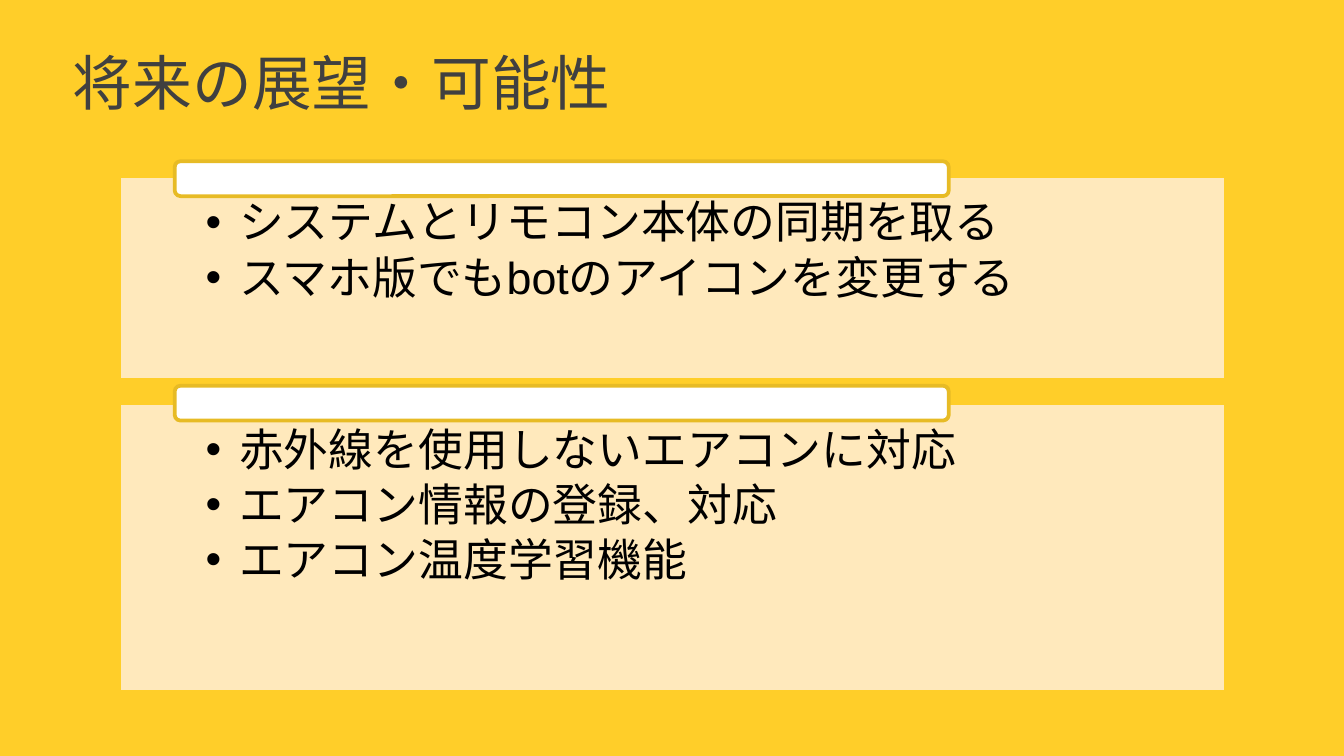
import pptx
import pptx.util
import pptx.dml.color
import pptx.enum.shapes
import pptx.enum.text
import pptx.oxml
import pptx.oxml.ns
import lxml.etree

Inches = pptx.util.Inches
Pt = pptx.util.Pt
SHAPES = pptx.enum.shapes.MSO_SHAPE
ANCHOR = pptx.enum.text.MSO_ANCHOR
ALIGN = pptx.enum.text.PP_ALIGN

COLORS = {
    "background": "FFCE29",
    "panel": "FFEDCD",
    "tab": "FFFFFF",
    "tab_line": "E7BB25",
    "body": "000000",
    "title": "404040",
}


def rgb(name):
    return pptx.dml.color.RGBColor.from_string(COLORS[name])


def add_element(parent, tag, **attributes):
    return lxml.etree.SubElement(parent, pptx.oxml.ns.qn(tag), **attributes)


class OutlookPage:
    body_font = "Arial"
    title_font = "Noto Sans CJK JP"

    def __init__(self, deck):
        self.page = deck.slides.add_slide(deck.slide_layouts[6])
        fill = self.page.background.fill
        fill.solid()
        fill.fore_color.rgb = rgb("background")

    def shape(self, kind, left, top, width, height, fill, line):
        box = self.page.shapes.add_shape(
            kind, Inches(left), Inches(top), Inches(width), Inches(height))
        box.shadow.inherit = False
        box.fill.solid()
        box.fill.fore_color.rgb = rgb(fill)
        box.line.color.rgb = rgb(line)
        box.line.width = Pt(2)
        return box

    def span(self, para, text, size, font, color):
        span = para.add_run()
        span.text = text
        span.font.size = Pt(size)
        span.font.name = font
        span.font.color.rgb = rgb(color)
        return span

    def title(self, text):
        box = self.page.shapes.add_textbox(
            Inches(0), Inches(0.29), Inches(10), Inches(0.63))
        frame = box.text_frame
        frame.word_wrap = True
        frame.vertical_anchor = ANCHOR.MIDDLE
        span = self.span(frame.paragraphs[0], text, 32, self.title_font, "title")
        add_element(span.font._element, "a:ea", typeface=self.title_font)

    def panel(self, top, height, items):
        box = self.shape(SHAPES.RECTANGLE, 0.89, top, 8.23, height,
                         "panel", "background")
        color = box.fill._xPr.find(".//" + pptx.oxml.ns.qn("a:srgbClr"))
        add_element(color, "a:alpha", val="90000")
        frame = box.text_frame
        frame.word_wrap = True
        frame.vertical_anchor = ANCHOR.TOP
        frame.margin_left = frame.margin_right = Inches(0.64)
        frame.margin_top = Inches(0.18)
        frame.margin_bottom = Inches(0.19)
        for index, item in enumerate(items):
            para = frame.paragraphs[0] if index == 0 else frame.add_paragraph()
            self.bullet(para, item)

    def bullet(self, para, text):
        para.level = 1
        para.alignment = ALIGN.LEFT
        para.line_spacing = 0.9
        para.space_after = Pt(3.6)
        properties = para._p.get_or_add_pPr()
        properties.set("marL", str(Inches(0.25)))
        properties.set("indent", str(-Inches(0.25)))
        add_element(properties, "a:buFont", typeface=self.body_font)
        add_element(properties, "a:buChar", char="•")
        self.span(para, text, 24, self.body_font, "body")

    def tab(self, top):
        self.shape(SHAPES.ROUNDED_RECTANGLE, 1.3, top, 5.76, 0.26,
                   "tab", "tab_line")


def main():
    deck = pptx.Presentation()
    deck.slide_width = Inches(10)
    deck.slide_height = Inches(10 * 9 / 16)
    outlook = OutlookPage(deck)
    sections = [
        (1.31, 1.52, 1.2, ["システムとリモコン本体の同期を取る",
                           "スマホ版でもbotのアイコンを変更する"]),
        (3, 2.15, 2.87, ["赤外線を使用しないエアコンに対応",
                         "エアコン情報の登録、対応",
                         "エアコン温度学習機能"]),
    ]
    for top, height, tab_top, items in sections:
        outlook.panel(top, height, items)
        outlook.tab(tab_top)
    outlook.title("　将来の展望・可能性")
    deck.save("out.pptx")


if __name__ == "__main__":
    main()
